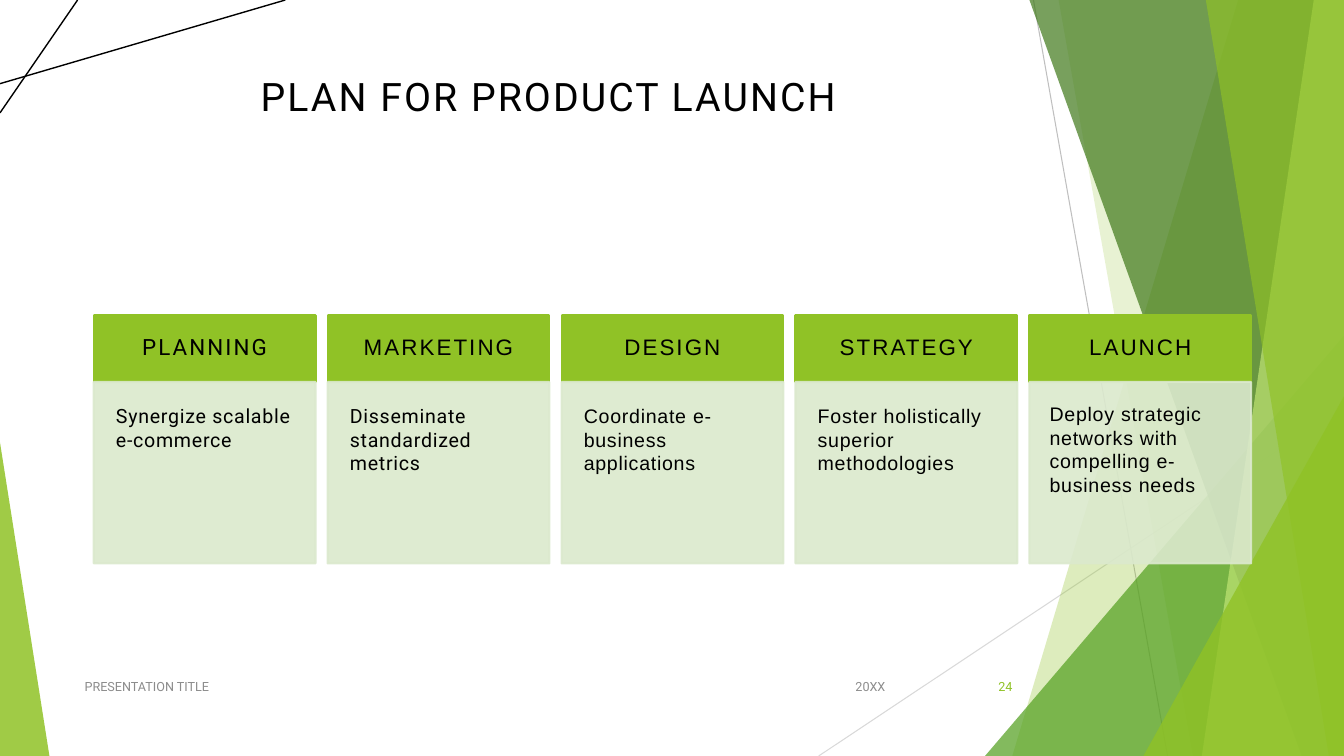
from lxml import etree
from pptx import Presentation
from pptx.dml.color import RGBColor
from pptx.enum.shapes import MSO_CONNECTOR as Connector, MSO_SHAPE as Shape
from pptx.enum.text import MSO_ANCHOR as Anchor, PP_ALIGN as Align
from pptx.oxml.ns import qn
from pptx.util import Inches, Pt

WIDTH, HEIGHT = 13.33, 7.5
LIME, PALE, BLACK, GREY = "90C226", "DBE9CD", "000000", "8C8C8C"

RAYS = [
    ("BFBFBF", 0.75, (10.25, 0), (11.58, HEIGHT)),
    ("D9D9D9", 0.75, (WIDTH, 4.03), (8.12, HEIGHT)),
]
CORNER_LINES = [
    (BLACK, 1, (0, 0.83), (2.83, 0)),
    (BLACK, 1, (0.77, 0), (0, 1.12)),
]
BACK_BANDS = [(LIME, 30, 12.28, 10.04), (LIME, 20, 10.5, 11.83)]
FRONT_BANDS = [
    ("3F7819", 70, 10.21, 12.91),
    ("C0E474", 70, 13.03, 11.92),
    (LIME, 65, 11.96, 13.18),
]
STAGES = [
    ("PLANNING", "Roboto", "Synergize scalable e-commerce", "Roboto", 0.22),
    ("MARKETING", "Arial", "Disseminate standardized metrics", "Roboto", 0.22),
    ("DESIGN", "Arial", "Coordinate e-business applications", "Arial", 0.22),
    ("STRATEGY", "Arial", "Foster holistically superior methodologies", "Arial", 0.22),
    ("LAUNCH", "Arial", "Deploy strategic networks with compelling e-business needs", "Arial", 0.2),
]
STAGE_LEFT, STAGE_TOP, STAGE_STEP, STAGE_WIDTH = 0.93, 3.13, 2.32, 2.2
HEAD_HEIGHT, BODY_HEIGHT = 0.66, 1.8


def rgb(color):
    return RGBColor.from_string(color)


def paint(fill, color, opacity):
    fill.solid()
    fill.fore_color.rgb = rgb(color)
    if opacity < 100:
        # python-pptx offers no public transparency setting
        pass


def set_opacity(shape, opacity):
    for color in shape._element.spPr.iter(qn("a:srgbClr")):
        etree.SubElement(color, qn("a:alpha"), val=str(opacity * 1000))


def finish(shape, color, opacity=100, outline=0):
    shape.shadow.inherit = False
    shape.fill.solid()
    shape.fill.fore_color.rgb = rgb(color)
    if outline:
        shape.line.width = Pt(outline)
        shape.line.color.rgb = rgb(color)
    else:
        shape.line.fill.background()
    if opacity < 100:
        set_opacity(shape, opacity)


def add_line(slide, color, width, start, end):
    line = slide.shapes.add_connector(
        Connector.STRAIGHT, *(Inches(value) for value in start + end))
    line.line.color.rgb = rgb(color)
    line.line.width = Pt(width)
    etree.SubElement(line._element.spPr, qn("a:effectLst"))


def add_band(slide, color, opacity, top_x, bottom_x):
    corners = [(WIDTH, 0), (WIDTH, HEIGHT), (bottom_x, HEIGHT)]
    builder = slide.shapes.build_freeform(Inches(top_x), 0)
    builder.add_line_segments([(Inches(x), Inches(y)) for x, y in corners])
    finish(builder.convert_to_shape(), color, opacity)


def add_triangle(slide, color, opacity, left, top, width, apex):
    triangle = slide.shapes.add_shape(
        Shape.ISOSCELES_TRIANGLE, Inches(left), Inches(top),
        Inches(width), Inches(HEIGHT - top))
    triangle.adjustments[0] = apex
    finish(triangle, color, opacity)


def write(shape, text, size, font, color=BLACK, align=Align.LEFT,
          anchor=Anchor.MIDDLE, spacing=0, inset=None):
    frame = shape.text_frame
    frame.word_wrap = True
    frame.vertical_anchor = anchor
    if inset is not None:
        frame.margin_left = frame.margin_right = Inches(inset)
        frame.margin_top = frame.margin_bottom = Inches(inset)
    para = frame.paragraphs[0]
    para.alignment = align
    para.font.size = Pt(size)
    para.font.name = font
    para.font.color.rgb = rgb(color)
    span = para.add_run()
    span.text = text
    if spacing:
        span.font._element.set("spc", str(int(spacing * 100)))
    return para


def add_title(slide, text):
    title = slide.shapes.title
    title.left, title.top = Inches(0.74), Inches(0.67)
    title.width, title.height = Inches(9.4), Inches(1.44)
    write(title, text, 28, "Roboto", align=Align.CENTER,
          anchor=Anchor.TOP, spacing=1.5)


def add_panel(slide, left, top, height, color, opacity=100):
    panel = slide.shapes.add_shape(
        Shape.RECTANGLE, Inches(left), Inches(top),
        Inches(STAGE_WIDTH), Inches(height))
    finish(panel, color, opacity, outline=1.5)
    return panel


def add_stage(slide, left, name, name_font, detail, detail_font, inset):
    head = add_panel(slide, left, STAGE_TOP, HEAD_HEIGHT, LIME)
    para = write(head, name, 16, name_font, align=Align.CENTER,
                 spacing=1.5, inset=0.17)
    para.line_spacing = 0.9
    body = add_panel(slide, left, STAGE_TOP + HEAD_HEIGHT, BODY_HEIGHT, PALE, 90)
    write(body, detail, 14, detail_font, anchor=Anchor.TOP,
          spacing=0.5, inset=inset)


def add_footer(slide, text, left, width, align, color=GREY):
    box = slide.shapes.add_textbox(
        Inches(left), Inches(6.61), Inches(width), Inches(0.4))
    write(box, text, 9, "Roboto", color, align)


def add_backdrop(slide):
    for ray in RAYS:
        add_line(slide, *ray)
    for band in BACK_BANDS:
        add_band(slide, *band)
    add_triangle(slide, "54A021", 72, 9.77, 3.33, 3.56, 1)
    for band in FRONT_BANDS:
        add_band(slide, *band)
    add_triangle(slide, LIME, 80, 11.34, 3.93, 1.99, 1)
    add_triangle(slide, LIME, 85, 0, 4.39, 0.49, 0)
    for line in CORNER_LINES:
        add_line(slide, *line)


def main():
    deck = Presentation()
    deck.slide_width, deck.slide_height = Inches(WIDTH), Inches(HEIGHT)
    slide = deck.slides.add_slide(deck.slide_layouts[5])
    add_backdrop(slide)
    add_title(slide, "PLAN FOR PRODUCT LAUNCH")
    for index, stage in enumerate(STAGES):
        add_stage(slide, STAGE_LEFT + index * STAGE_STEP, *stage)
    add_footer(slide, "20XX", 7.88, 1, Align.RIGHT)
    add_footer(slide, "PRESENTATION TITLE", 0.74, 6.89, Align.LEFT)
    add_footer(slide, "24", 9.39, 0.75, Align.RIGHT, LIME)
    deck.save("out.pptx")


if __name__ == "__main__":
    main()
